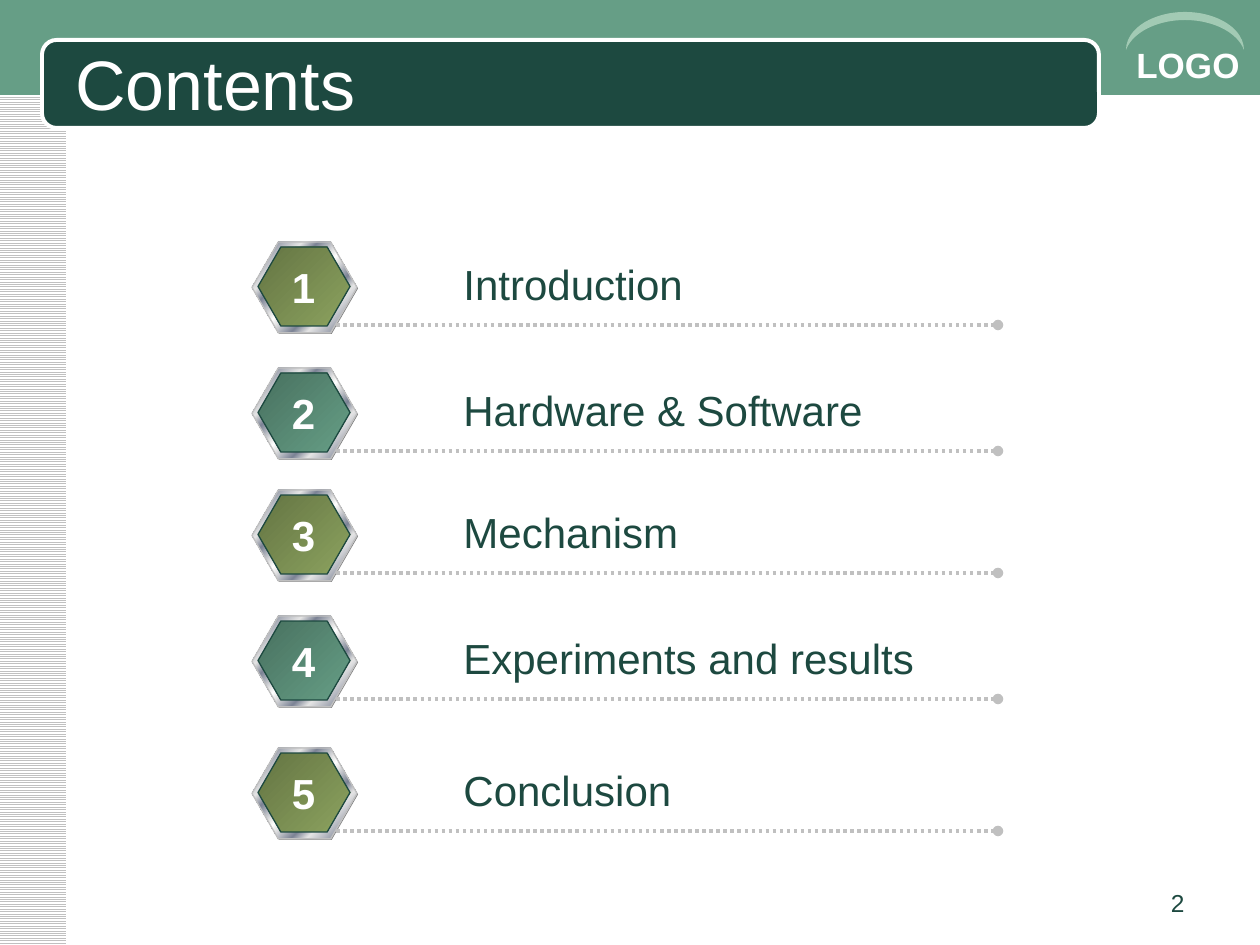
from lxml.etree import SubElement
from pptx import Presentation
from pptx.dml.color import RGBColor as Rgb
from pptx.enum.dml import MSO_LINE_DASH_STYLE as Dash, MSO_PATTERN_TYPE as Pattern
from pptx.enum.shapes import MSO_CONNECTOR_TYPE as Connector, MSO_SHAPE as Shape
from pptx.enum.text import MSO_ANCHOR as Anchor, MSO_AUTO_SIZE as AutoSize, PP_ALIGN as Align
from pptx.oxml.ns import qn
from pptx.util import Emu, Pt

PX_PER_INCH = 126
COLORS = {
    "white": "FFFFFF", "sage": "669E86", "forest": "1D4940", "mint": "A2CAB4",
    "olive": "8CA35F", "silver": "C0C0C0", "gray": "808080",
    "steel": "7D8496", "chrome": "E6E6E6",
}
METAL = [
    (0, "chrome"), (8, "steel"), (26, "chrome"), (34, "steel"), (46, "chrome"), (50, "white"),
    (54, "chrome"), (66, "steel"), (74, "chrome"), (92, "steel"), (100, "chrome"),
]
DARK_SHADE = 46275
ITEMS = [
    ("Introduction", 242, 247),
    ("Hardware & Software", 368, 441),
    ("Mechanism", 490, 243),
    ("Experiments and results", 616, 481),
    ("Conclusion", 748, 236),
]


def px(value):
    return Emu(round(value * 914400 / PX_PER_INCH))


def color(name):
    return Rgb.from_string(COLORS[name])


def add_block(shapes, kind, bounds, fill=None, line=None, line_width=0.75, adjust=None):
    block = shapes.add_shape(kind, *map(px, bounds))
    block.shadow.inherit = False
    if fill:
        block.fill.solid()
        block.fill.fore_color.rgb = color(fill)
    if line:
        block.line.color.rgb = color(line)
        block.line.width = Pt(line_width)
    else:
        block.line.fill.background()
    if adjust is not None:
        block.adjustments[0] = adjust
    return block


def set_gradient(block, stops):
    block.fill.gradient()
    block.fill.gradient_angle = 315
    stop_list = block.fill._xPr.find(qn("a:gradFill")).find(qn("a:gsLst"))
    for stop in list(stop_list):
        stop_list.remove(stop)
    for position, name, *shade in stops:
        stop = SubElement(stop_list, qn("a:gs"), pos=str(position * 1000))
        tone = SubElement(stop, qn("a:srgbClr"), val=COLORS[name])
        if shade:
            SubElement(tone, qn("a:shade"), val=str(shade[0]))


def add_text(page, text, bounds, size=24, ink="forest", bold=False, align=Align.LEFT,
             anchor=Anchor.TOP, wrap=True, grow=False):
    box = page.shapes.add_textbox(*map(px, bounds))
    frame = box.text_frame
    frame.word_wrap = wrap
    frame.auto_size = AutoSize.SHAPE_TO_FIT_TEXT if grow else AutoSize.NONE
    frame.vertical_anchor = anchor
    para = frame.paragraphs[0]
    para.alignment = align
    span = para.add_run()
    span.text = text
    span.font.name = "Arial"
    span.font.size = Pt(size)
    span.font.bold = bold
    span.font.color.rgb = color(ink)


def add_dotted_line(page, left, right, y):
    rule = page.shapes.add_connector(Connector.STRAIGHT, px(left), px(y), px(right), px(y))
    rule.line.color.rgb = color("silver")
    rule.line.width = Pt(2)
    rule.line.dash_style = Dash.ROUND_DOT
    SubElement(rule.line._get_or_add_ln(), qn("a:tailEnd"), type="oval")
    SubElement(rule._element.spPr, qn("a:effectLst"))


def add_badge(page, top, tone):
    shapes = page.shapes.add_group_shape().shapes
    add_block(shapes, Shape.HEXAGON, (253, top + 1, 105, 91), "gray", adjust=0.289)
    rim = add_block(shapes, Shape.HEXAGON, (252, top, 105, 91), line="silver", adjust=0.289)
    set_gradient(rim, METAL)
    face = add_block(shapes, Shape.HEXAGON, (258, top + 5, 92, 79), line="forest", adjust=0.289)
    set_gradient(face, [(0, tone, DARK_SHADE), (100, tone)])


def add_item(page, number, text, top, width):
    add_badge(page, top, "olive" if number % 2 else "sage")
    add_dotted_line(page, 336, 998, top + 83)
    add_text(page, text, (451, top + 10, width, 63), wrap=False, grow=True)
    add_text(page, str(number), (279, top + 13, 49, 63), ink="white", bold=True,
             align=Align.CENTER, wrap=False, grow=True)


def add_frame(page):
    stripes = add_block(page.shapes, Shape.RECTANGLE, (-1, 0, 67, 945))
    stripes.fill.patterned()
    stripes.fill.pattern = Pattern.LIGHT_HORIZONTAL
    stripes.fill.fore_color.rgb = color("silver")
    stripes.fill.back_color.rgb = color("white")
    add_block(page.shapes, Shape.RECTANGLE, (0, 0, 1261, 95), "sage")
    add_block(page.shapes, Shape.ROUNDED_RECTANGLE, (42, 40, 1057, 88), "forest",
              line="white", line_width=2.25, adjust=0.167)
    add_text(page, "LOGO", (1124, 37, 136, 54), size=20, ink="white", bold=True, grow=True)
    arc = add_block(page.shapes, Shape.MOON, (1166, -28, 38, 118), "mint", adjust=0.212)
    arc.rotation = 90


def main():
    deck = Presentation()
    deck.slide_width, deck.slide_height = px(1260), px(945)
    page = deck.slides.add_slide(deck.slide_layouts[6])
    add_frame(page)
    add_text(page, "Contents", (63, 44, 1018, 78), size=40, ink="white", anchor=Anchor.MIDDLE)
    for number, (text, top, width) in enumerate(ITEMS, 1):
        add_item(page, number, text, top, width)
    add_text(page, "2", (903, 882, 294, 44), size=14, align=Align.RIGHT)
    deck.save("out.pptx")


if __name__ == "__main__":
    main()
